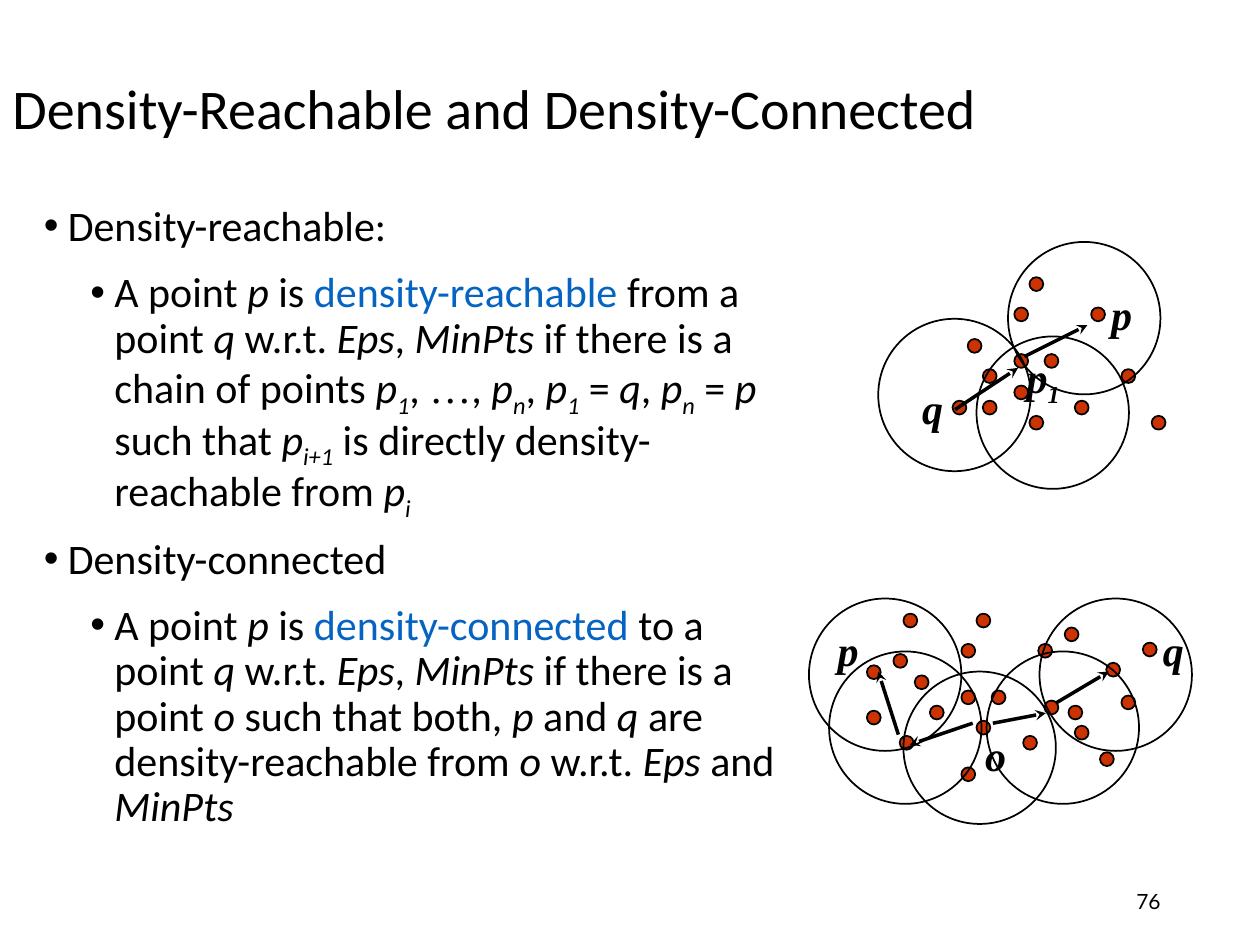
from dataclasses import dataclass

from lxml.etree import SubElement
from pptx import Presentation
from pptx.dml.color import RGBColor
from pptx.enum.shapes import MSO_CONNECTOR, MSO_SHAPE
from pptx.enum.text import MSO_ANCHOR, MSO_AUTO_SIZE, PP_ALIGN
from pptx.oxml.ns import qn
from pptx.util import Inches, Pt


@dataclass(frozen=True)
class Theme:
    ink: RGBColor = RGBColor(0x00, 0x00, 0x00)
    accent: RGBColor = RGBColor(0x05, 0x63, 0xC1)
    dot: RGBColor = RGBColor(0xCC, 0x33, 0x00)
    sans: str = "Calibri"
    serif: str = "Times New Roman"
    number_font: str = "Lato"
    title_size: int = 32
    body_size: int = 24
    number_size: int = 12
    outline: float = 1
    arrow: float = 2


THEME = Theme()
DOT_SIZE = 0.11
CIRCLE_SIZE = 1.21
LABEL_HEIGHT = 0.5

# Runs are separated by "|"; a first character of "*" means italic,
# "_" italic subscript, "#" accent colour and "~" serif font.
BULLETS = [
    (0, "Density-reachable:"),
    (1, "A point |*p| is |#density-reachable| from a point |*q| w.r.t. |*Eps|, |*MinPts"
        "| if there is a chain of points |*p|_1|, |~…|, |*p|_n|, |*p|_1| = |*q|, |*p|_n"
        "| = |*p| such that |*p|_i+1| is directly density-reachable from |*p|_i"),
    (0, "Density-connected"),
    (1, "A point |*p| is |#density-connected| to a point |*q| w.r.t. |*Eps|, |*MinPts"
        "| if there is a point |*o |such that both, |*p| and |*q"
        "| are density-reachable from |*o| w.r.t. |*Eps| and |*MinPts"),
]

# Dots and circles are (left, top); labels are (left, top, width, text);
# arrows are (start, tip).
REACHABLE = {
    "dots": [(7.68, 2.69), (8.05, 2.81), (8.05, 2.44), (7.56, 3.18), (7.8, 2.93),
             (7.8, 3.18), (8.17, 3.3), (8.17, 2.2), (8.9, 2.93), (8.66, 2.44),
             (8.05, 3.06), (8.29, 2.81), (8.53, 3.18), (9.14, 3.3)],
    "circles": [(7.75, 2.67), (6.97, 2.53), (8, 1.92)],
    "labels": [(8.72, 2.24, 0.42, "*p"), (7.22, 2.99, 0.42, "*q"),
               (8.05, 2.74, 0.67, "*p|_1")],
    "arrows": [((8.13, 2.83), (8.63, 2.58)), ((7.58, 3.25), (8.08, 2.92))],
}
CONNECTED = {
    "dots": [(7.26, 5.36), (7.63, 5.48), (7.63, 5.11), (7.14, 5.84), (7.38, 5.6),
             (7.63, 6.09), (7.75, 5.72), (7.75, 4.87), (8.48, 5.6), (8.24, 5.11),
             (6.88, 5.64), (7.87, 5.48), (8.12, 5.84), (8.73, 5.97), (8.9, 5.52),
             (8.29, 5.56), (8.53, 5.76), (9.07, 5.1), (8.45, 4.98), (8.78, 5.26),
             (7.09, 5.19), (6.88, 5.28), (7.17, 4.87)],
    "circles": [(6.58, 5.17), (7.17, 5.33), (7.83, 5.17), (8.25, 4.75), (6.42, 4.75)],
    "labels": [(6.55, 4.91, 0.42, "*p"), (9.13, 4.91, 0.42, "*q"),
               (7.72, 5.74, 0.42, "*o")],
    "arrows": [((7.72, 5.74), (7.22, 5.91)), ((7.88, 5.74), (8.3, 5.66)),
               ((7.13, 5.83), (6.97, 5.33)), ((8.38, 5.58), (8.8, 5.33))],
}


def add_runs(paragraph, marked_text, font_name, size, bold=False):
    for part in marked_text.split("|"):
        mark = part[0] if part[0] in "*_#~" else ""
        run = paragraph.add_run()
        run.text = part[len(mark):]
        font = run.font
        font.name = THEME.serif if mark == "~" else font_name
        font.size = Pt(size)
        font.bold = bold
        font.italic = mark in ("*", "_")
        font.color.rgb = THEME.accent if mark == "#" else THEME.ink
        if mark == "_":
            run._r.get_or_add_rPr().set("baseline", "-25000")


def add_text_frame(shapes, left, top, width, height, anchor=MSO_ANCHOR.TOP):
    box = shapes.add_textbox(Inches(left), Inches(top), Inches(width), Inches(height))
    frame = box.text_frame
    frame.word_wrap = True
    frame.vertical_anchor = anchor
    return frame


def add_title(slide, text):
    frame = add_text_frame(slide.shapes, 0, 0.42, 10, 0.92, MSO_ANCHOR.MIDDLE)
    paragraph = frame.paragraphs[0]
    paragraph.line_spacing = 0.9
    add_runs(paragraph, text, THEME.sans, THEME.title_size)


def set_bullet(paragraph, level):
    paragraph.level = level
    properties = paragraph._p.get_or_add_pPr()
    properties.set("marL", str(Inches((0.19, 0.56)[level])))
    properties.set("indent", str(Inches(-0.19)))
    SubElement(properties, qn("a:buFont")).set("typeface", "Arial")
    SubElement(properties, qn("a:buChar")).set("char", "•")


def add_bullets(slide, bullets):
    frame = add_text_frame(slide.shapes, 0.25, 1.58, 6.17, 5.5)
    for index, (level, text) in enumerate(bullets):
        paragraph = frame.add_paragraph() if index else frame.paragraphs[0]
        paragraph.line_spacing = 0.9
        paragraph.space_before = Pt(THEME.body_size / 2)
        set_bullet(paragraph, level)
        add_runs(paragraph, text, THEME.sans, THEME.body_size)


def add_ellipse(shapes, left, top, size, fill=None):
    shape = shapes.add_shape(MSO_SHAPE.OVAL, Inches(left), Inches(top),
                             Inches(size), Inches(size))
    shape.shadow.inherit = False
    if fill is None:
        shape.fill.background()
    else:
        shape.fill.solid()
        shape.fill.fore_color.rgb = fill
    shape.line.color.rgb = THEME.ink
    shape.line.width = Pt(THEME.outline)


def add_label(shapes, left, top, width, text):
    frame = add_text_frame(shapes, left, top, width, LABEL_HEIGHT)
    frame.auto_size = MSO_AUTO_SIZE.SHAPE_TO_FIT_TEXT
    paragraph = frame.paragraphs[0]
    paragraph.space_before = Pt(THEME.body_size / 2)
    add_runs(paragraph, text, THEME.serif, THEME.body_size, bold=True)


def add_arrow(shapes, start, tip):
    connector = shapes.add_connector(
        MSO_CONNECTOR.STRAIGHT, *(Inches(value) for value in (*start, *tip)))
    connector.line.color.rgb = THEME.ink
    connector.line.width = Pt(THEME.arrow)
    SubElement(connector.line._get_or_add_ln(), qn("a:tailEnd")).set("type", "stealth")
    SubElement(connector._element.spPr, qn("a:effectLst"))


def add_figure(shapes, figure):
    for left, top in figure["dots"]:
        add_ellipse(shapes, left, top, DOT_SIZE, THEME.dot)
    for left, top in figure["circles"]:
        add_ellipse(shapes, left, top, CIRCLE_SIZE)
    for label in figure["labels"]:
        add_label(shapes, *label)
    for start, tip in figure["arrows"]:
        add_arrow(shapes, start, tip)


def add_slide_number(slide, text):
    frame = add_text_frame(slide.shapes, 7.06, 6.95, 2.25, 0.4, MSO_ANCHOR.MIDDLE)
    paragraph = frame.paragraphs[0]
    paragraph.alignment = PP_ALIGN.RIGHT
    add_runs(paragraph, text, THEME.number_font, THEME.number_size)


def main():
    presentation = Presentation()
    presentation.slide_width = Inches(10)
    presentation.slide_height = Inches(7.5)
    slide = presentation.slides.add_slide(presentation.slide_layouts[6])
    add_title(slide, "Density-Reachable and Density-Connected")
    add_bullets(slide, BULLETS)
    add_figure(slide.shapes, REACHABLE)
    add_figure(slide.shapes.add_group_shape().shapes, CONNECTED)
    add_slide_number(slide, "76")
    presentation.save("out.pptx")


if __name__ == "__main__":
    main()
